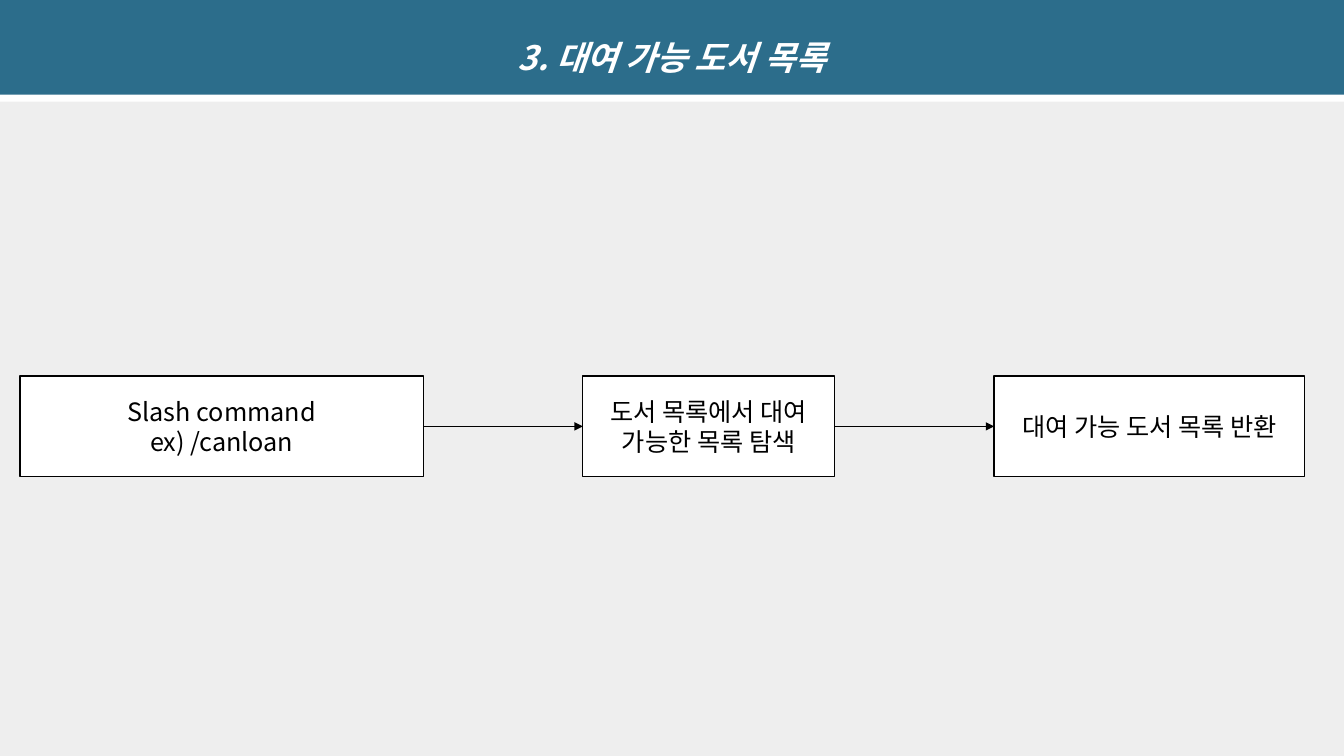
from pptx import Presentation
from pptx.dml.color import RGBColor
from pptx.enum.shapes import MSO_CONNECTOR as Connector, MSO_SHAPE as Shape
from pptx.enum.text import MSO_ANCHOR as Anchor, MSO_AUTO_SIZE as AutoSize, PP_ALIGN as Align
from pptx.oxml import parse_xml
from pptx.oxml.ns import nsdecls, qn
from pptx.util import Inches, Pt
from lxml.etree import SubElement

COLORS = {"page": "EEEEEE", "banner": "2C6D8B", "white": "FFFFFF", "black": "000000"}
FONT = "Noto Sans CJK KR"
SLIDE_WIDTH, SLIDE_HEIGHT = 13.33, 7.5
BANNER_HEIGHT = 0.94
STEP_LEFT, STEP_TOP, STEP_HEIGHT, STEP_GAP = 0.2, 3.73, 1, 1.58
STEPS = [
    (4, ["Slash command", "ex) /canloan"]),
    (2.5, ["도서 목록에서 대여 가능한 목록 탐색"]),
    (3.08, ["대여 가능 도서 목록 반환"]),
]


def rgb(name):
    return RGBColor.from_string(COLORS[name])


def write_text(shape, lines, size=18, color="black", bold=False, italic=False, spacing=1.0):
    """Fill a shape with centred paragraphs, one for each line."""
    frame = shape.text_frame
    frame.word_wrap = True
    frame.auto_size = AutoSize.NONE
    frame.vertical_anchor = Anchor.MIDDLE
    for index, line in enumerate(lines):
        paragraph = frame.add_paragraph() if index else frame.paragraphs[0]
        paragraph.alignment = Align.CENTER
        paragraph.line_spacing = spacing
        run = paragraph.add_run()
        run.text = line
        font = run.font
        font.name, font.size, font.bold, font.italic = FONT, Pt(size), bold, italic
        font.color.rgb = rgb(color)
        SubElement(font._element, qn("a:ea"), typeface=FONT)


class FlowSlide:
    def __init__(self, deck):
        self.slide = deck.slides.add_slide(deck.slide_layouts[5])
        background = self.slide.background.fill
        background.solid()
        background.fore_color.rgb = rgb("page")

    def banner(self, text):
        """Turn the title into a full-width band with a white edge below."""
        title = self.slide.shapes.title
        title.left = title.top = Inches(0)
        title.width, title.height = Inches(SLIDE_WIDTH), Inches(BANNER_HEIGHT)
        title.fill.solid()
        title.fill.fore_color.rgb = rgb("banner")
        title.line.fill.background()
        title._element.spPr.append(parse_xml(
            f'<a:effectLst {nsdecls("a")}>'
            f'<a:outerShdw blurRad="0" dist="{Pt(5)}" dir="5400000" algn="t" rotWithShape="0">'
            f'<a:srgbClr val="{COLORS["white"]}"/></a:outerShdw></a:effectLst>'))
        write_text(title, [text], size=24, color="white", bold=True, italic=True, spacing=1.5)

    def step(self, left, width, lines):
        box = self.slide.shapes.add_shape(
            Shape.RECTANGLE, Inches(left), Inches(STEP_TOP), Inches(width), Inches(STEP_HEIGHT))
        box.shadow.inherit = False
        box.fill.solid()
        box.fill.fore_color.rgb = rgb("white")
        box.line.color.rgb = rgb("black")
        box.line.width = Pt(1)
        write_text(box, lines)
        return box

    def arrow(self, source, target):
        """Join the right side of source to the left side of target."""
        arrow = self.slide.shapes.add_connector(Connector.STRAIGHT, 0, 0, 0, 0)
        arrow.begin_connect(source, 3)
        arrow.end_connect(target, 1)
        arrow.line.color.rgb = rgb("black")
        arrow.line.width = Pt(0.5)
        SubElement(arrow.line._get_or_add_ln(), qn("a:tailEnd"), type="triangle")
        SubElement(arrow._element.spPr, qn("a:effectLst"))


def main():
    deck = Presentation()
    deck.slide_width, deck.slide_height = Inches(SLIDE_WIDTH), Inches(SLIDE_HEIGHT)
    flow = FlowSlide(deck)
    flow.banner("3. 대여 가능 도서 목록")

    left, previous = STEP_LEFT, None
    for width, lines in STEPS:
        current = flow.step(left, width, lines)
        if previous is not None:
            flow.arrow(previous, current)
        left += width + STEP_GAP
        previous = current
    deck.save("out.pptx")


if __name__ == "__main__":
    main()
